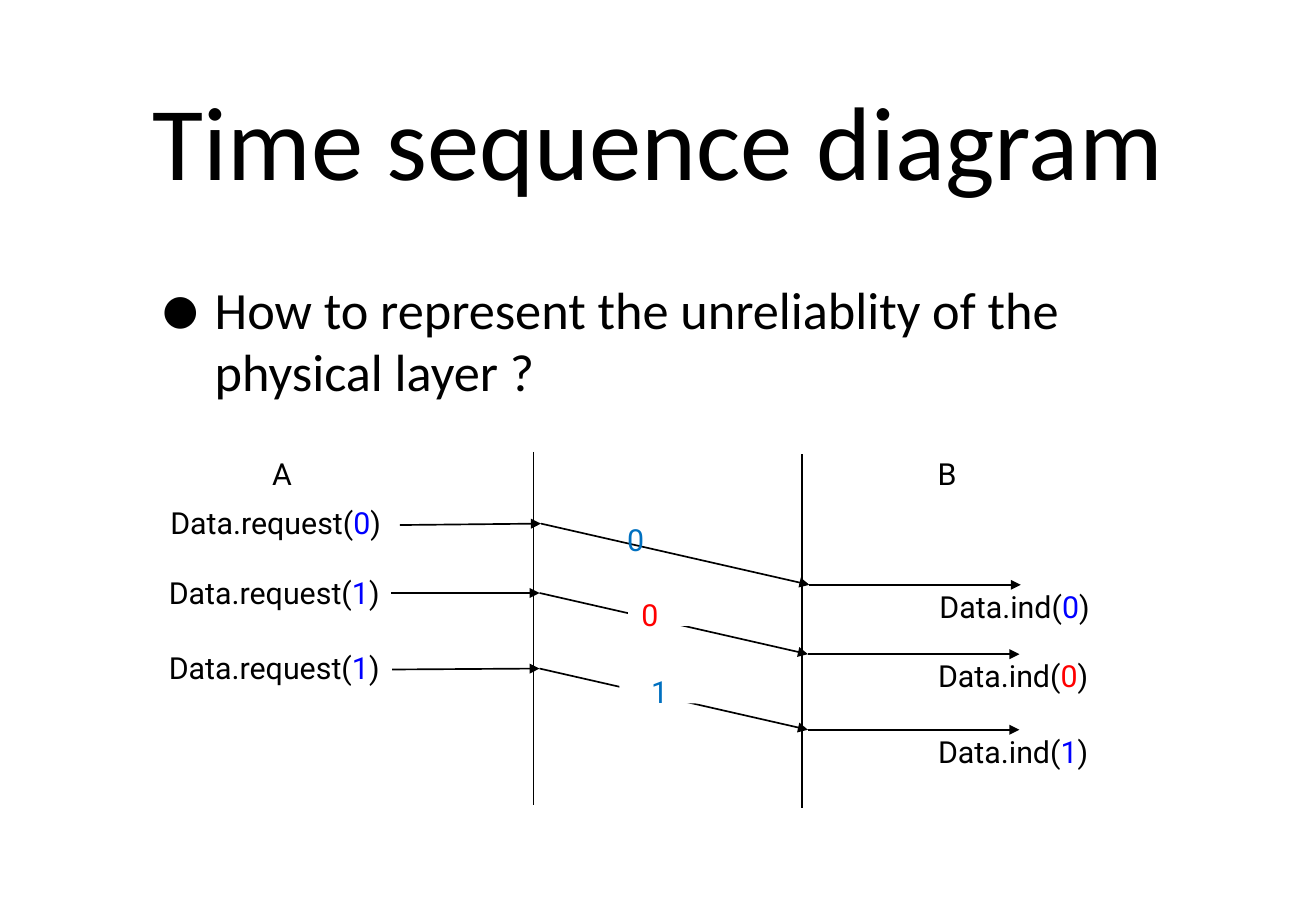
import pptx
import pptx.util
import pptx.dml.color
import pptx.enum.shapes
import pptx.enum.text
import pptx.oxml.ns
import pptx.oxml.xmlchemy

COLOURS = {"ink": "000000", "paper": "FFFFFF", "sent": "0000FF",
           "carried": "0070C0", "corrupted": "FF0000"}

TITLE = "Time sequence diagram"
QUESTION = "How to represent the unreliablity of the physical layer ?"
HOSTS = [("A", 5.69, 11.15, 9.45), ("B", 19.6, 16.76, 9.5)]
HOST_NAME_TOP, HOST_LINE_LENGTH = 9.65, 7.39

EXCHANGES = [
    {"y": 10.95, "shift": 0.03, "start": 8.36, "tilt": 0.03,
     "request": "0", "bit": ("0", "carried", 13.11, 11.02),
     "gap": None, "ind": ("0", "sent")},
    {"y": 12.4, "shift": 0, "start": 8.18, "tilt": 0,
     "request": "1", "bit": ("0", "corrupted", 13.41, 12.6),
     "gap": (13.13, 12.4), "ind": ("0", "corrupted")},
    {"y": 13.98, "shift": 0, "start": 8.2, "tilt": 0.02,
     "request": "1", "bit": ("1", "carried", 13.61, 14.2),
     "gap": (12.95, 14.02), "ind": ("1", "sent")},
]
SENT_X, RECEIVED_X, DELIVERED_X = 11.28, 16.89, 21.31
REQUEST_X, IND_X = 3.53, 19.61
DROP = 1.28
LABEL_HEIGHT = 0.66


def rgb(name):
    return pptx.dml.color.RGBColor.from_string(COLOURS[name])


def lengths(*values):
    return [pptx.util.Cm(value) for value in values]


def add_element(parent, tag, **attributes):
    element = pptx.oxml.xmlchemy.OxmlElement(tag)
    for key, value in attributes.items():
        element.set(key, value)
    parent.append(element)


def add_run(paragraph, text, size, font, colour="ink"):
    run = paragraph.add_run()
    run.text = text
    run.font.size = pptx.util.Pt(size)
    run.font.name = font
    run.font.color.rgb = rgb(colour)


def set_frame(frame, margin, wrap):
    frame.margin_left = frame.margin_right = pptx.util.Cm(margin)
    frame.margin_top = frame.margin_bottom = pptx.util.Cm(margin)
    frame.word_wrap = wrap
    frame.auto_size = pptx.enum.text.MSO_AUTO_SIZE.NONE


def add_label(slide, x, y, width, runs):
    label = slide.shapes.add_textbox(*lengths(x, y, width, LABEL_HEIGHT))
    set_frame(label.text_frame, 0, False)
    paragraph = label.text_frame.paragraphs[0]
    paragraph.line_spacing = 0.84
    for text, colour in runs:
        add_run(paragraph, text, 18, "Roboto", colour)


def add_line(slide, start, end, arrow=True):
    line = slide.shapes.add_connector(
        pptx.enum.shapes.MSO_CONNECTOR.STRAIGHT, *lengths(*start, *end))
    line.line.color.rgb = rgb("ink")
    line.line.width = pptx.util.Pt(1)
    properties = line._element.spPr
    if arrow:
        stroke = properties.find(pptx.oxml.ns.qn("a:ln"))
        add_element(stroke, "a:tailEnd", type="triangle")
    add_element(properties, "a:effectLst")


def add_title(slide):
    title = slide.shapes.title
    title.left, title.top, title.width, title.height = lengths(
        2.69, 0.51, 22.15, 4.78)
    set_frame(title.text_frame, 0.1, True)
    title.text_frame.vertical_anchor = pptx.enum.text.MSO_ANCHOR.MIDDLE
    paragraph = title.text_frame.paragraphs[0]
    paragraph.alignment = pptx.enum.text.PP_ALIGN.CENTER
    add_run(paragraph, TITLE, 62, "Calibri")


def add_question(slide):
    question = slide.shapes.add_textbox(*lengths(2.69, 5.69, 22.15, 3))
    set_frame(question.text_frame, 0.1, True)
    paragraph = question.text_frame.paragraphs[0]
    properties = paragraph._p.get_or_add_pPr()
    properties.set("marL", str(pptx.util.Cm(1.7)))
    properties.set("indent", str(pptx.util.Cm(-1.17)))
    add_element(properties, "a:buSzPct", val="171000")
    add_element(properties, "a:buFont", typeface="Calibri")
    add_element(properties, "a:buChar", char="•")
    add_run(paragraph, QUESTION, 31, "Calibri")


def add_gap(slide, x, y):
    gap = slide.shapes.add_shape(pptx.enum.shapes.MSO_SHAPE.RECTANGLE,
                                 *lengths(x, y, 3.42, 0.69))
    gap.shadow.inherit = False
    gap.fill.solid()
    gap.fill.fore_color.rgb = rgb("paper")
    gap.line.fill.background()


def add_exchange(slide, exchange):
    y, shift = exchange["y"], exchange["shift"]
    sent = (SENT_X + shift, y)
    received = (RECEIVED_X + shift, y + DROP)
    delivered = (DELIVERED_X + shift, y + DROP)
    add_line(slide, (exchange["start"], y + exchange["tilt"]), sent)
    add_line(slide, sent, received)
    add_line(slide, received, delivered)
    if exchange["gap"]:
        add_gap(slide, *exchange["gap"])
    add_label(slide, REQUEST_X + shift, y - 0.28, 4.45,
              [("Data.request(", "ink"), (exchange["request"], "sent"), (")", "ink")])
    add_label(slide, IND_X + shift, y + 1.47, 3.18,
              [("Data.ind(", "ink"), exchange["ind"], (")", "ink")])
    bit, colour, bit_x, bit_y = exchange["bit"]
    add_label(slide, bit_x, bit_y, 0.36, [(bit, colour)])


def main():
    deck = pptx.Presentation()
    deck.slide_width, deck.slide_height = lengths(27.51, 19.05)
    slide = deck.slides.add_slide(deck.slide_layouts[5])
    add_title(slide)
    add_question(slide)
    for host, name_x, line_x, line_top in HOSTS:
        add_line(slide, (line_x, line_top),
                 (line_x, line_top + HOST_LINE_LENGTH), arrow=False)
        add_label(slide, name_x, HOST_NAME_TOP, 0.42, [(host, "ink")])
    for exchange in EXCHANGES:
        add_exchange(slide, exchange)
    deck.save("out.pptx")


if __name__ == "__main__":
    main()
